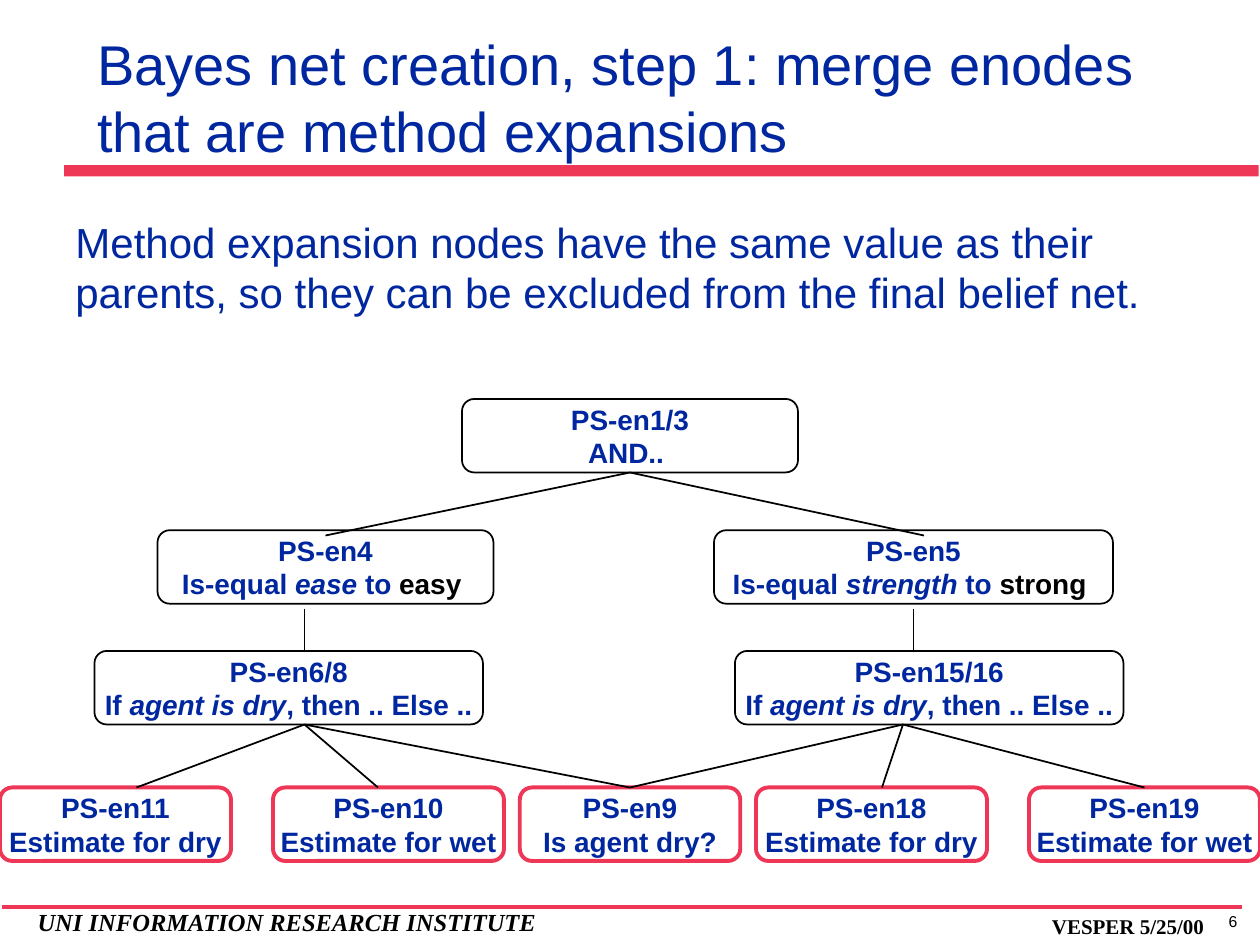
"""Build a slide with a tree of merged method expansion nodes."""
import pptx
import pptx.dml.color
import pptx.enum.shapes
import pptx.enum.text
import pptx.oxml.ns
import pptx.util
from lxml import etree

HUES = {"ink": "00279F", "red": "EE3757", "black": "000000"}
UNIT = 1 / 12
HIGH = 7
TITLE = "Bayes net creation, step 1: merge enodes that are method expansions"
BODY = ("Method expansion nodes have the same value as their parents, "
        "so they can be excluded from the final belief net.")
RULE = [("If ", ""), ("agent is dry", "i"), (", then .. Else ..", "")]
DRY = [("Estimate for dry", "")]
WET = [("Estimate for wet", "")]
ROWS = [
    (38, "black", 1, [(44, 32, "PS-en1/3", [("AND.. ", "")])]),
    (50.5, "black", 1, [
        (15, 32, "PS-en4", [("Is-equal ", ""), ("ease", "i"), (" to ", ""), ("easy ", "k")]),
        (68, 38, "PS-en5", [("Is-equal ", ""), ("strength", "i"), (" to ", ""), ("strong ", "k")]),
    ]),
    (62, "black", 1, [(9, 37, "PS-en6/8", RULE), (70, 37, "PS-en15/16", RULE)]),
    (75, "red", 2.25, [
        (0, 22, "PS-en11", DRY),
        (26, 22, "PS-en10", WET),
        (49.5, 21, "PS-en9", [("Is agent dry?", "")]),
        (72, 22, "PS-en18", DRY),
        (98, 22, "PS-en19", WET),
    ]),
]
FANS = [
    (60, 45, 51, [31, 88]),
    (29, 58, 62, [29]),
    (87, 58, 62, [87]),
    (29, 69, 75, [13, 36, 60]),
    (86, 69, 75, [60, 84, 109]),
]
NOTES = [
    ((9.4, 7.19, 0.77, 0.25), "6",
     dict(size=9, hue="black", align="CENTER", wrap=False)),
    ((0.2, 7.15, 4.36, 0.33), "UNI INFORMATION RESEARCH INSTITUTE",
     dict(size=14, hue="black", font="Times New Roman", bold=True, slant=True)),
    ((8.25, 7.2, 1.58, 0.3), "VESPER 5/25/00",
     dict(size=12, hue="black", font="Times New Roman", bold=True)),
    ((0.5, 1.67, 9.25, 0.9), BODY, dict(size=24, before=15)),
]


def tint(name):
    return pptx.dml.color.RGBColor.from_string(HUES[name])


def span(*sizes):
    return [pptx.util.Inches(size) for size in sizes]


def write(frame, text, size=16, hue="ink", font="Arial", bold=False, slant=False,
          align="LEFT", anchor="TOP", wrap=True, before=0):
    """Fill a frame with a string or with lists of (text, mark) runs."""
    lines = [[(text, "")]] if isinstance(text, str) else text
    frame.auto_size = pptx.enum.text.MSO_AUTO_SIZE.NONE
    frame.word_wrap = wrap
    frame.vertical_anchor = getattr(pptx.enum.text.MSO_ANCHOR, anchor)
    for num, line in enumerate(lines):
        para = frame.add_paragraph() if num else frame.paragraphs[0]
        para.alignment = getattr(pptx.enum.text.PP_ALIGN, align)
        para.space_before = pptx.util.Pt(before)
        for words, mark in line:
            run = para.add_run()
            run.text = words
            run.font.name = font
            run.font.size = pptx.util.Pt(size)
            run.font.bold = bold
            run.font.italic = slant or mark == "i"
            run.font.color.rgb = tint("black" if mark == "k" else hue)


def join(slide, start, end, hue="black", width=1):
    kind = pptx.enum.shapes.MSO_CONNECTOR.STRAIGHT
    link = slide.shapes.add_connector(kind, *span(*start, *end))
    link.line.color.rgb = tint(hue)
    link.line.width = pptx.util.Pt(width)
    props = link._element.spPr
    etree.SubElement(props, pptx.oxml.ns.qn("a:effectLst"))


def shape(slide, kind, place):
    item = slide.shapes.add_shape(
        getattr(pptx.enum.shapes.MSO_SHAPE, kind), *span(*place))
    item.shadow.inherit = False
    return item


def node(slide, left, top, wide, hue, width, lines):
    place = [UNIT * part for part in (left, top, wide, HIGH)]
    box = shape(slide, "ROUNDED_RECTANGLE", place)
    box.adjustments[0] = 0.167
    box.fill.background()
    box.line.color.rgb = tint(hue)
    box.line.width = pptx.util.Pt(width)
    write(box.text_frame, lines, bold=True, align="CENTER", anchor="MIDDLE", wrap=False)


def main():
    deck = pptx.Presentation()
    deck.slide_width, deck.slide_height = span(10, 7.5)
    slide = deck.slides.add_slide(deck.slide_layouts[5])

    head = slide.shapes.title
    head.left, head.top, head.width, head.height = span(0.67, 0.09, 8.48, 1.26)
    write(head.text_frame, TITLE, size=32, anchor="BOTTOM")

    bar = shape(slide, "RECTANGLE", (0.51, 1.31, 9.48, 0.09))
    bar.fill.solid()
    bar.fill.fore_color.rgb = tint("red")
    bar.line.fill.background()
    join(slide, (9.86, 7.2), (0.02, 7.2), "red", 2)

    for top, hue, width, nodes in ROWS:
        for left, wide, name, label in nodes:
            node(slide, left, top, wide, hue, width, [[(name, "")], label])
    for col, top, low, ends in FANS:
        for end in ends:
            join(slide, (col * UNIT, top * UNIT), (end * UNIT, low * UNIT))
    for place, text, style in NOTES:
        write(slide.shapes.add_textbox(*span(*place)).text_frame, text, **style)

    deck.save("out.pptx")


if __name__ == "__main__":
    main()
